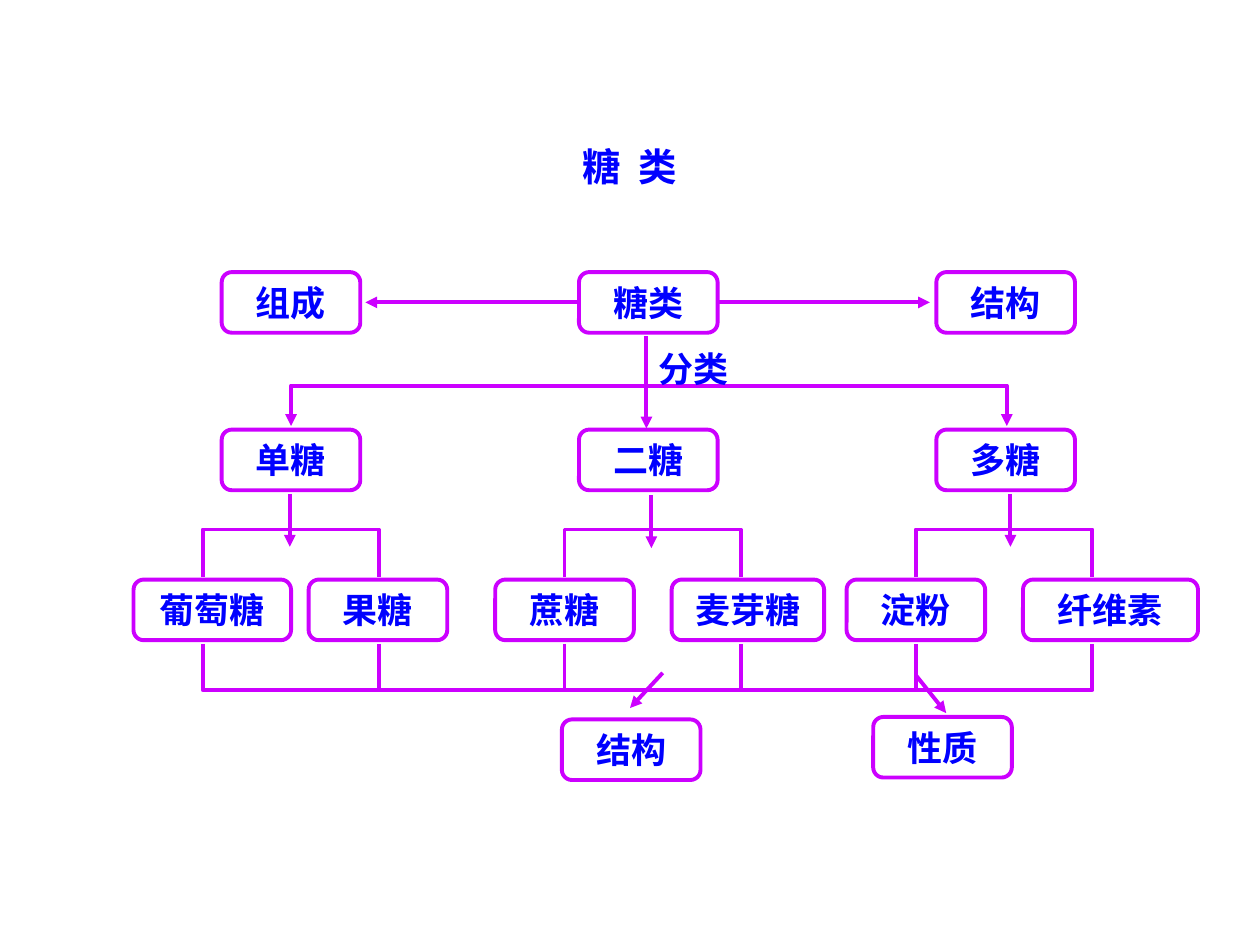
"""Build a concept map of saccharides: classes, examples, structure and properties."""
from lxml.etree import SubElement
from pptx import Presentation
from pptx.dml.color import RGBColor
from pptx.enum.shapes import MSO_CONNECTOR, MSO_SHAPE
from pptx.enum.text import MSO_ANCHOR, MSO_AUTO_SIZE, PP_ALIGN
from pptx.oxml.ns import qn
from pptx.util import Pt

BLUE = RGBColor(0x00, 0x00, 0xFF)
PURPLE = RGBColor(0xCC, 0x00, 0xFF)
FONT = "Noto Sans CJK SC"
BOX_WIDTH, BOX_HEIGHT = 79.2, 34.6

TITLE = "糖  类"
BRANCH_LABEL = "分类"
COLUMN_LEFT, COLUMN_STEP = 126.7, 204.2
ROWS = [(155.5, ["组成", "糖类", "结构"]), (245.5, ["单糖", "二糖", "多糖"])]
EXAMPLES_TOP = 331.2
EXAMPLES = [
    ("葡萄糖", 76.3, 90), ("果糖", 176.4, BOX_WIDTH), ("蔗糖", 283, BOX_WIDTH),
    ("麦芽糖", 383.8, 87.1), ("淀粉", 483.8, BOX_WIDTH), ("纤维素", 584.6, 100),
]
ASPECTS = [("结构", 321.1, 411.1), ("性质", 499, 409.7)]

STEMS = [(115.9, 216.4), (322.6, 423.4), (523.4, 624.2)]
CLASS_ARROWS = [(165.6, 282.2), (372.2, 283), (577.4, 282.2)]
ASPECT_ARROWS = [((378.7, 384.5), (360, 404.6)), ((523.4, 385.9), (540.7, 407.5))]


def format_text(shape, text, size, align=PP_ALIGN.CENTER, anchor=MSO_ANCHOR.MIDDLE):
    frame = shape.text_frame
    frame.text = text
    frame.word_wrap = True
    frame.auto_size = MSO_AUTO_SIZE.NONE
    frame.vertical_anchor = anchor
    paragraph = frame.paragraphs[0]
    paragraph.alignment = align
    font = paragraph.runs[0].font
    font.size, font.bold, font.name = Pt(size), True, FONT
    font.color.rgb = BLUE
    properties = paragraph.runs[0]._r.get_or_add_rPr()
    SubElement(properties, qn("a:ea"), typeface=FONT)


def style_line(shape, *arrowheads):
    shape.line.color.rgb = PURPLE
    shape.line.width = Pt(2.25)
    properties = shape._element.spPr
    for end in arrowheads:
        SubElement(properties.find(qn("a:ln")), qn(f"a:{end}"), type="triangle")
    SubElement(properties, qn("a:effectLst"))


def add_box(shapes, text, left, top, width=BOX_WIDTH):
    box = shapes.add_shape(MSO_SHAPE.ROUNDED_RECTANGLE,
                           Pt(left), Pt(top), Pt(width), Pt(BOX_HEIGHT))
    box.fill.background()
    style_line(box)
    format_text(box, text, 20)
    return box


def add_arrow(shapes, start, end):
    arrow = shapes.add_connector(MSO_CONNECTOR.STRAIGHT, *map(Pt, (*start, *end)))
    style_line(arrow, "tailEnd")
    return arrow


def add_bracket(shapes, left, right, end_y, bar_y, *arrowheads):
    builder = shapes.build_freeform(Pt(left), Pt(end_y))
    corners = [(left, bar_y), (right, bar_y), (right, end_y)]
    builder.add_line_segments([(Pt(x), Pt(y)) for x, y in corners], close=False)
    bracket = builder.convert_to_shape()
    bracket.fill.background()
    style_line(bracket, *arrowheads)


def main():
    presentation = Presentation()
    presentation.slide_width, presentation.slide_height = Pt(720), Pt(540)
    slide = presentation.slides.add_slide(presentation.slide_layouts[5])
    shapes = slide.shapes

    title = shapes.title
    title.left, title.top, title.width, title.height = map(Pt, (213.8, 77.8, 292.3, 33.8))
    format_text(title, TITLE, 22)

    boxes = []
    for top, labels in ROWS:
        for column, label in enumerate(labels):
            boxes.append(add_box(shapes, label, COLUMN_LEFT + column * COLUMN_STEP, top))
    for label, left, width in EXAMPLES:
        add_box(shapes, label, left, EXAMPLES_TOP, width)
    for label, left, top in ASPECTS:
        add_box(shapes, label, left, top)

    root = boxes[1]
    middle_y = ROWS[0][0] + BOX_HEIGHT / 2
    for site, start_x, end_x in [(3, 410.4, 531.4), (1, 330.5, 208.8)]:
        arrow = add_arrow(shapes, (start_x, middle_y), (end_x, middle_y))
        arrow.begin_connect(root, site)

    add_bracket(shapes, 166.3, 575.3, 243.4, 220.3, "headEnd", "tailEnd")
    add_arrow(shapes, (369.4, 192.2), (369.4, 244.8))

    for (left, right), (x, top) in zip(STEMS, CLASS_ARROWS):
        add_bracket(shapes, left, right, 329.8, 302.6)
        add_arrow(shapes, (x, top), (x, top + 30.2))

    stems = [x for pair in STEMS for x in pair]
    for left, right in zip(stems[:3], reversed(stems)):
        add_bracket(shapes, left, right, 367.9, 394.4)
    for start, end in ASPECT_ARROWS:
        add_arrow(shapes, start, end)

    label = shapes.add_textbox(*map(Pt, (369.4, 190.8, 74.2, 38.9)))
    format_text(label, BRANCH_LABEL, 20, PP_ALIGN.LEFT, MSO_ANCHOR.TOP)
    label.text_frame.margin_top = Pt(8)

    presentation.save("out.pptx")


if __name__ == "__main__":
    main()
